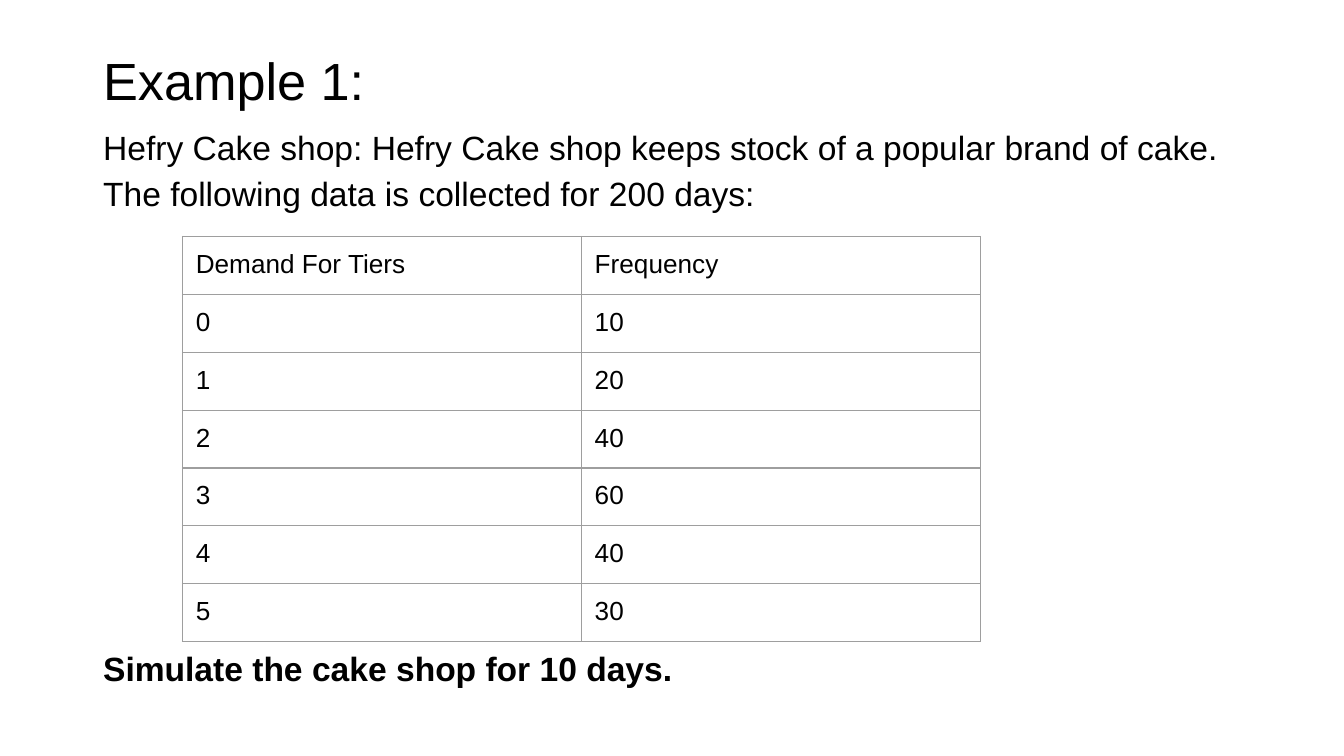
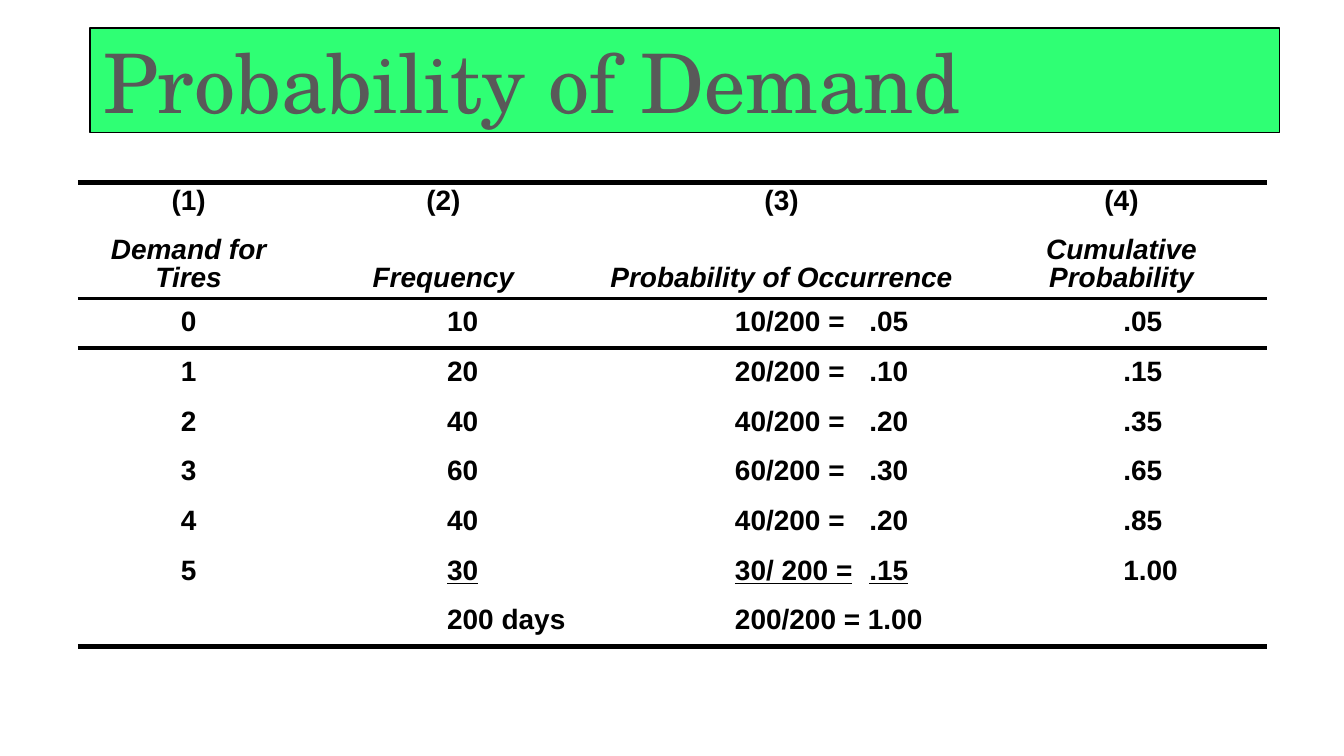
from lxml.etree import SubElement
from pptx import Presentation
from pptx.dml.color import RGBColor
from pptx.enum.shapes import MSO_SHAPE
from pptx.enum.text import MSO_ANCHOR, PP_ALIGN
from pptx.oxml.ns import qn
from pptx.util import Cm, Pt

BLACK, GREY, GREEN, RULE = "000000", "595959", "2FFF74", "9E9E9E"
SANS, SERIF = "Arial", "TeX Gyre Schola"
INSET = 0.25


def rgb(value):
    return RGBColor.from_string(value)


class Deck:
    def __init__(self, width, height):
        self.prs = Presentation()
        self.prs.slide_width, self.prs.slide_height = Cm(width), Cm(height)
        self.s = None

    def slide(self):
        self.s = self.prs.slides.add_slide(self.prs.slide_layouts[6])

    def style(self, p, size, color=BLACK, name=SANS, bold=False, italic=False, underline=False):
        f = p.font
        f.size, f.name, f.bold, f.italic = Pt(size), name, bold, italic
        f.underline = underline
        f.color.rgb = rgb(color)

    def fill_text(self, sp, text, size, anchor, **font):
        tf = sp.text_frame
        tf.word_wrap = True
        tf.vertical_anchor = anchor
        p = tf.paragraphs[0]
        p.text, p.alignment = text, PP_ALIGN.LEFT
        self.style(p, size, **font)
        return p

    def title(self, text, x, y, w, h, size, fill=None, **font):
        sp = self.s.shapes.add_shape(MSO_SHAPE.RECTANGLE, Cm(x), Cm(y), Cm(w), Cm(h))
        sp.shadow.inherit = False
        if fill:
            sp.fill.solid()
            sp.fill.fore_color.rgb = rgb(fill)
            sp.line.color.rgb = rgb(BLACK)
            sp.line.width = Pt(0.75)
        else:
            sp.fill.background()
            sp.line.fill.background()
        self.fill_text(sp, text, size, MSO_ANCHOR.MIDDLE, **font)

    def body(self, text, x, y, w, h, **font):
        sp = self.s.shapes.add_textbox(Cm(x), Cm(y), Cm(w), Cm(h))
        p = self.fill_text(sp, text, 18, MSO_ANCHOR.TOP, **font)
        p.line_spacing, p.space_before = 1.15, Pt(7)

    def border(self, cell, color, left, right, top, bottom):
        tc_pr = cell.fill._xPr
        for i, (tag, width) in enumerate(zip(("lnL", "lnR", "lnT", "lnB"), (left, right, top, bottom))):
            ln = SubElement(tc_pr, qn(f"a:{tag}"), w=str(Pt(width)))
            if width:
                SubElement(SubElement(ln, qn("a:solidFill")), qn("a:srgbClr"), val=color)
            else:
                SubElement(ln, qn("a:noFill"))
            tc_pr.insert(i, ln)

    def table(self, rows, x, y, widths, heights, color, across, down, inset, styler):
        frame = self.s.shapes.add_table(len(rows), len(widths), Cm(x), Cm(y),
                                        Cm(sum(widths)), Cm(sum(heights)))
        tbl = frame.table
        tbl.first_row = tbl.horz_banding = False
        for col, width in zip(tbl.columns, widths):
            col.width = Cm(width)
        for i, (row, height) in enumerate(zip(rows, heights)):
            tbl.rows[i].height = Cm(height)
            for j, text in enumerate(row):
                cell = tbl.cell(i, j)
                cell.margin_left = cell.margin_right = Cm(INSET)
                cell.margin_top = cell.margin_bottom = Cm(inset)
                cell.fill.background()
                self.border(cell, color, down, down, across[i], across[i + 1])
                p = cell.text_frame.paragraphs[0]
                p.text = text
                styler(cell, p, i, j)


def example_slide(deck):
    deck.slide()
    deck.title("Example 1:", 1.7, 0.48, 22.66, 2.06, 28)
    deck.body("Hefry Cake shop: Hefry Cake shop keeps stock of a popular brand of cake. "
              "The following data is collected for 200 days:", 1.7, 2.16, 22.66, 2.3)
    deck.body("Simulate the cake shop for 10 days.", 1.7, 12.01, 22.66, 1.4, bold=True)
    rows = [("Demand For Tiers", "Frequency"), ("0", "10"), ("1", "20"), ("2", "40"),
            ("3", "60"), ("4", "40"), ("5", "30")]
    deck.table(rows, 3.45, 4.47, [7.54] * 2, [1.06] * 7, RULE, [0.75] * 8, 0.75, INSET,
               lambda cell, p, i, j: deck.style(p, 14))


def probability_slide(deck):
    deck.slide()
    deck.title("Probability of Demand", 1.7, 0.53, 22.48, 1.98, 44,
               fill=GREEN, color=GREY, name=SERIF)
    rows = [
        ("(1)", "(2)", "(3)", "(4)"),
        ("Demand for Tires", "Frequency", "Probability of Occurrence", "Cumulative Probability"),
        ("0", "10", "10/200 =\t.05", ".05"),
        ("1", "20", "20/200 =\t.10", ".15"),
        ("2", "40", "40/200 =\t.20", ".35"),
        ("3", "60", "60/200 =\t.30", ".65"),
        ("4", "40", "40/200 =\t.20", ".85"),
        ("5", "30", "30/ 200 =\t.15", "1.00"),
        ("", "200 days", "200/200 = 1.00", ""),
    ]
    anchors = [MSO_ANCHOR.TOP, MSO_ANCHOR.BOTTOM] + [MSO_ANCHOR.MIDDLE] * 7

    def styler(cell, p, i, j):
        cell.vertical_anchor = anchors[i]
        p.line_spacing = 0.9
        if i < 2 or j == 0:
            p.alignment = PP_ALIGN.CENTER
        else:
            cell.margin_left = Cm(INSET + 2.54)
        deck.style(p, 15, bold=True, italic=i == 1, underline=i == 7 and j in (1, 2))

    deck.table(rows, 1.47, 3.45, [4.19, 5.44, 7.34, 5.51], [0.79, 1.4] + [0.94] * 7, BLACK,
               [3, 0, 2.25, 2.25, 0, 0, 0, 0, 0, 3], 0, 0.1, styler)


def main():
    deck = Deck(25.4, 14.29)
    example_slide(deck)
    probability_slide(deck)
    deck.prs.save("out.pptx")


if __name__ == "__main__":
    main()
